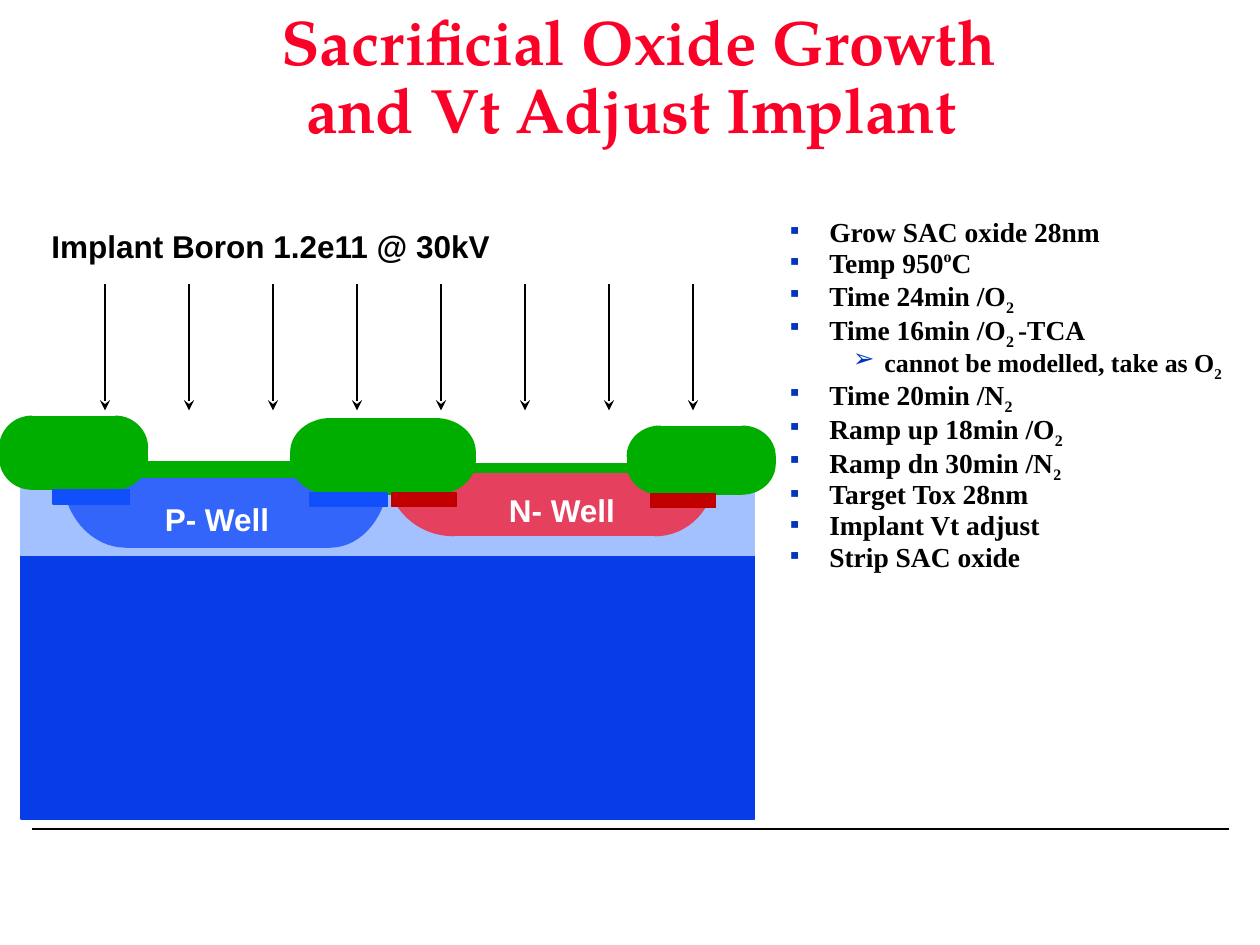
from collections import namedtuple
from math import cos, pi, sin

from lxml.etree import SubElement
from pptx import Presentation
from pptx.dml.color import RGBColor
from pptx.enum.shapes import MSO_CONNECTOR as Connector, MSO_SHAPE as Preset
from pptx.enum.text import MSO_ANCHOR as Anchor, MSO_AUTO_SIZE as AutoSize, PP_ALIGN as Align
from pptx.oxml.ns import qn
from pptx.util import Pt

BLACK = RGBColor(0x00, 0x00, 0x00)
WHITE = RGBColor(0xFF, 0xFF, 0xFF)
TITLE_RED = RGBColor(0xFC, 0x01, 0x28)
BULLET_BLUE = RGBColor(0x02, 0x37, 0xBC)
SUBSTRATE = RGBColor(0x06, 0x3D, 0xE8)
EPI = RGBColor(0xA2, 0xC1, 0xFE)
P_WELL = RGBColor(0x33, 0x65, 0xFB)
N_WELL = RGBColor(0xE5, 0x40, 0x5D)
OXIDE = RGBColor(0x00, 0xAE, 0x00)
P_STOP = RGBColor(0x11, 0x4F, 0xFB)
N_STOP = RGBColor(0xC2, 0x00, 0x00)
N_STOP_EDGE = RGBColor(0xBA, 0x00, 0x00)

HAIRLINE = Pt(0.99)
ARC_STEPS = 16
Box = namedtuple("Box", "left top width height")

# Each item is (level, runs); a run is (text, baseline shift in percent).
STEPS = [
    (0, [("Grow SAC oxide 28nm", 0)]),
    (0, [("Temp 950", 0), ("o", 40), ("C", 0)]),
    (0, [("Time 24min /O", 0), ("2", -25)]),
    (0, [("Time 16min /O", 0), ("2 ", -25), ("-TCA", 0)]),
    (1, [("cannot be modelled, take as O", 0), ("2", -25)]),
    (0, [("Time 20min /N", 0), ("2", -25)]),
    (0, [("Ramp up 18min /O", 0), ("2", -25)]),
    (0, [("Ramp dn 30min /N", 0), ("2", -25)]),
    (0, [("Target Tox 28nm", 0)]),
    (0, [("Implant Vt adjust", 0)]),
    (0, [("Strip SAC oxide", 0)]),
]
# Per level: text size, space before, left margin, hanging indent, bullet.
LEVELS = [(15.7, 6.4, 22.5, -22.5, "\u25aa"), (14.8, 6, 54, -18, "\u27a2")]


def place(shape, box):
    """Move and size a shape to a box."""
    shape.left, shape.top, shape.width, shape.height = map(Pt, box)


def add_span(para, text, font_name, size, color):
    """Append one bold run to a paragraph."""
    span = para.add_run()
    span.text = text
    font = span.font
    font.name, font.size, font.bold = font_name, Pt(size), True
    font.color.rgb = color
    return span


def paint(shape, color, edge=None):
    """Give a shape a flat fill and thin outline."""
    shape.shadow.inherit = False
    shape.fill.solid()
    shape.fill.fore_color.rgb = color
    shape.line.color.rgb = edge or color
    shape.line.width = HAIRLINE


def add_block(layer, box, color, edge=None):
    """Draw a plain rectangle."""
    block = layer.add_shape(Preset.RECTANGLE, *map(Pt, box))
    paint(block, color, edge)


def add_quarter(layer, hub_x, hub_y, reach_x, reach_y, color):
    """Draw a quarter ellipse; the signs of the reaches choose its quadrant."""
    angles = [pi / 2 * step / ARC_STEPS for step in range(ARC_STEPS + 1)]
    arc = [(Pt(hub_x + reach_x * cos(a)), Pt(hub_y + reach_y * sin(a))) for a in angles]
    outline = layer.build_freeform(Pt(hub_x), Pt(hub_y))
    outline.add_line_segments(arc, close=True)
    paint(outline.convert_to_shape(), color)


def add_line(layer, start, end, arrow=False):
    """Draw a thin black line, with an arrowhead at its end if wanted."""
    line = layer.add_connector(Connector.STRAIGHT, *map(Pt, start + end))
    line.line.color.rgb = BLACK
    line.line.width = HAIRLINE
    if arrow:
        SubElement(line.line._get_or_add_ln(), qn("a:tailEnd"), type="stealth")
    SubElement(line._element.spPr, qn("a:effectLst"))


def add_label(layer, box, text, color):
    """Write a one-line caption."""
    label = layer.add_textbox(*map(Pt, box))
    label.text_frame.word_wrap = False
    add_span(label.text_frame.paragraphs[0], text, "Arial", 18, color)


def add_well(layer, box, left_reach, right_reach, color):
    """Draw a well with a flat floor and rounded lower corners."""
    inner = box.width - left_reach - right_reach
    hub_x = box.left + left_reach
    add_quarter(layer, hub_x, box.top, -left_reach, box.height, color)
    add_quarter(layer, hub_x + inner, box.top, right_reach, box.height, color)
    add_block(layer, Box(hub_x, box.top, inner, box.height), color)


def add_field_oxide(layer, box, reach_x, reach_y):
    """Draw a field oxide: four rounded corners, a band and a core."""
    right, bottom = box.left + box.width, box.top + box.height
    for edge_x, side in ((box.left, -1), (right, 1)):
        for edge_y, rise in ((box.top, -1), (bottom, 1)):
            add_quarter(layer, edge_x - side * reach_x, edge_y - rise * reach_y,
                        side * reach_x, rise * reach_y, OXIDE)
    add_block(layer, Box(box.left, box.top + reach_y, box.width, box.height - 2 * reach_y), OXIDE)
    add_block(layer, Box(box.left + reach_x, box.top, box.width - 2 * reach_x, box.height), OXIDE)


def add_cross_section(page, box):
    """Draw the wafer cross-section with the implant above it."""
    layer = page.shapes.add_group_shape().shapes

    def inside(left, top, width, height):
        return Box(box.left + left, box.top + top, width, height)

    add_block(layer, inside(12.2, 144.7, 419, 197.3), SUBSTRATE)
    add_block(layer, inside(12.2, 144.7, 419, 46.8), EPI)
    add_well(layer, inside(221.8, 144.4, 186.5, 35.6), 37.4, 33.8, N_WELL)
    add_well(layer, inside(36, 144.4, 185.8, 42.1), 36, 33.1, P_WELL)
    add_label(layer, inside(87.1, 156.2, 74.9, 28.8), "P- Well", WHITE)
    add_label(layer, inside(283.7, 151.2, 75.6, 28.8), "N- Well", WHITE)

    add_block(layer, inside(77.8, 138.2, 95, 8.6), OXIDE)
    add_block(layer, inside(270.7, 139, 89.3, 5), OXIDE)
    add_field_oxide(layer, inside(166.3, 113.4, 105.1, 42.8), 22.7, 19)
    add_field_oxide(layer, inside(358.6, 117.7, 84.2, 38.5), 18.7, 17)
    add_field_oxide(layer, inside(0, 112, 84.2, 41.4), 18.2, 18)

    for left, top in ((177.1, 155.5), (30.2, 154.1)):
        add_block(layer, inside(left, top, 43.9, 7.9), P_STOP)
    for left, top in ((223.9, 155.5), (372.2, 156.2)):
        add_block(layer, inside(left, top, 36.7, 7.9), N_STOP, N_STOP_EDGE)

    for number in range(8):
        x = box.left + 60 + 48 * number
        add_line(layer, (x, box.top + 36.5), (x, box.top + 108.5), arrow=True)
    add_label(layer, inside(22.3, 0, 266.4, 28.8), "Implant Boron 1.2e11 @ 30kV", BLACK)


def add_title(page, box):
    """Fill the title placeholder."""
    title = page.shapes.title
    place(title, box)
    frame = title.text_frame
    frame.auto_size, frame.vertical_anchor = AutoSize.NONE, Anchor.MIDDLE
    para = frame.paragraphs[0]
    para.alignment, para.line_spacing = Align.CENTER, 0.9
    add_span(para, "Sacrificial Oxide Growth and Vt Adjust Implant ",
             "TeX Gyre Pagella", 36, TITLE_RED)


def add_steps(page, box):
    """Fill the body placeholder with the process steps."""
    body = page.placeholders[1]
    place(body, box)
    frame = body.text_frame
    frame.auto_size, frame.vertical_anchor = AutoSize.NONE, Anchor.TOP
    for index, (level, runs) in enumerate(STEPS):
        para = frame.add_paragraph() if index else frame.paragraphs[0]
        size, space, margin, indent, bullet = LEVELS[level]
        para.level, para.line_spacing, para.space_before = level, 0.6, Pt(space)
        props = para._p.get_or_add_pPr()
        props.set("marL", str(Pt(margin)))
        props.set("indent", str(Pt(indent)))
        SubElement(SubElement(props, qn("a:buClr")), qn("a:srgbClr"), val=str(BULLET_BLUE))
        SubElement(props, qn("a:buChar"), char=bullet)
        for text, shift in runs:
            span = add_span(para, text, "Times New Roman", size, BLACK)
            if shift:
                span._r.get_or_add_rPr().set("baseline", str(shift * 1000))


def build_deck():
    """Build and save the one-page deck."""
    deck = Presentation()
    deck.slide_width, deck.slide_height = Pt(720), Pt(540)
    page = deck.slides.add_slide(deck.slide_layouts[1])
    add_line(page.shapes, (18, 473.8), (702, 473.8))
    add_title(page, Box(128.2, 0, 473.8, 90))
    add_steps(page, Box(444.2, 126, 275.8, 207.4))
    add_cross_section(page, Box(0, 126, 443, 342))
    deck.save("out.pptx")


build_deck()
